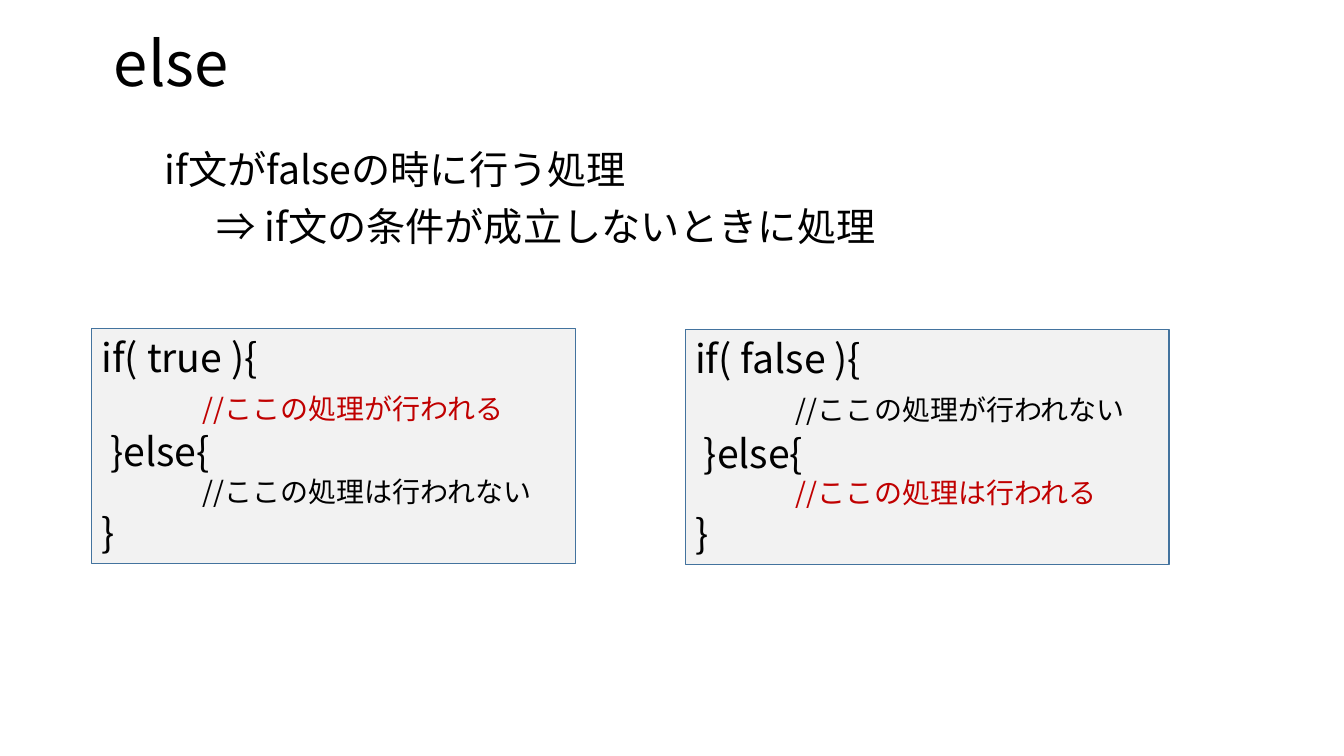
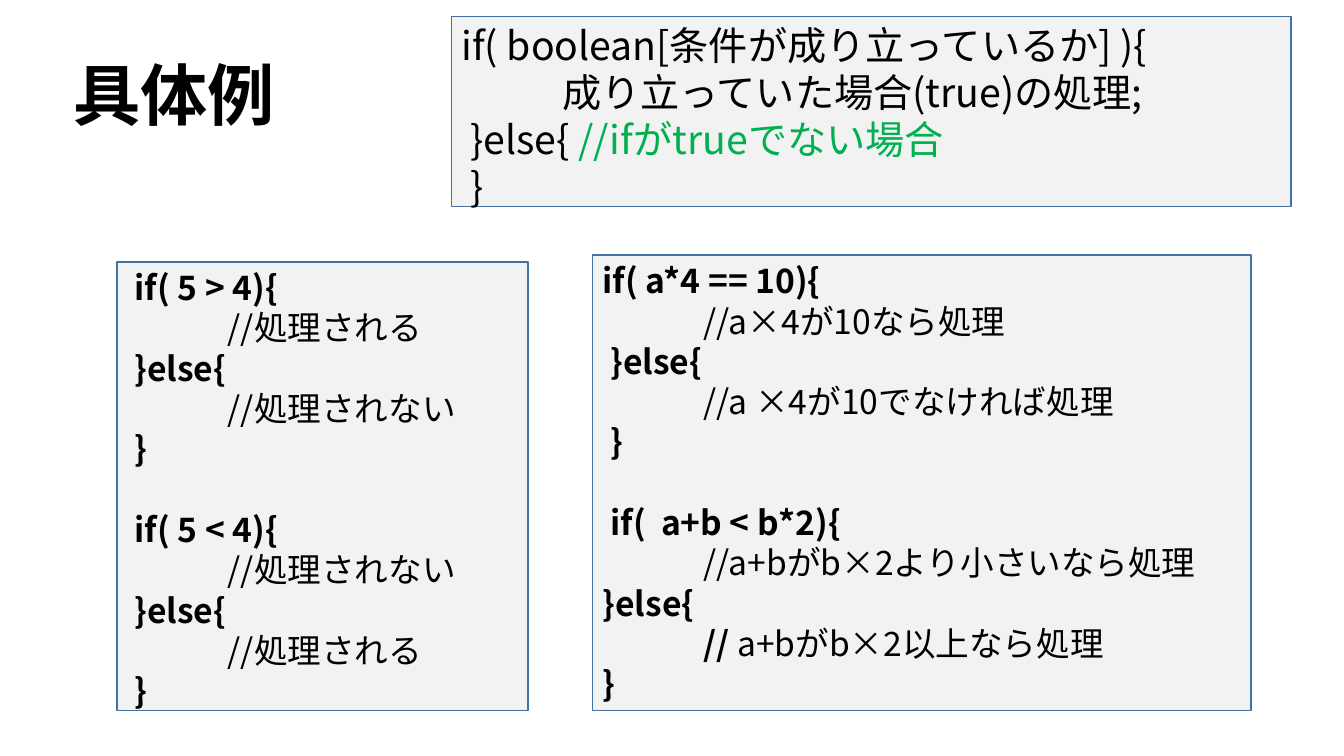
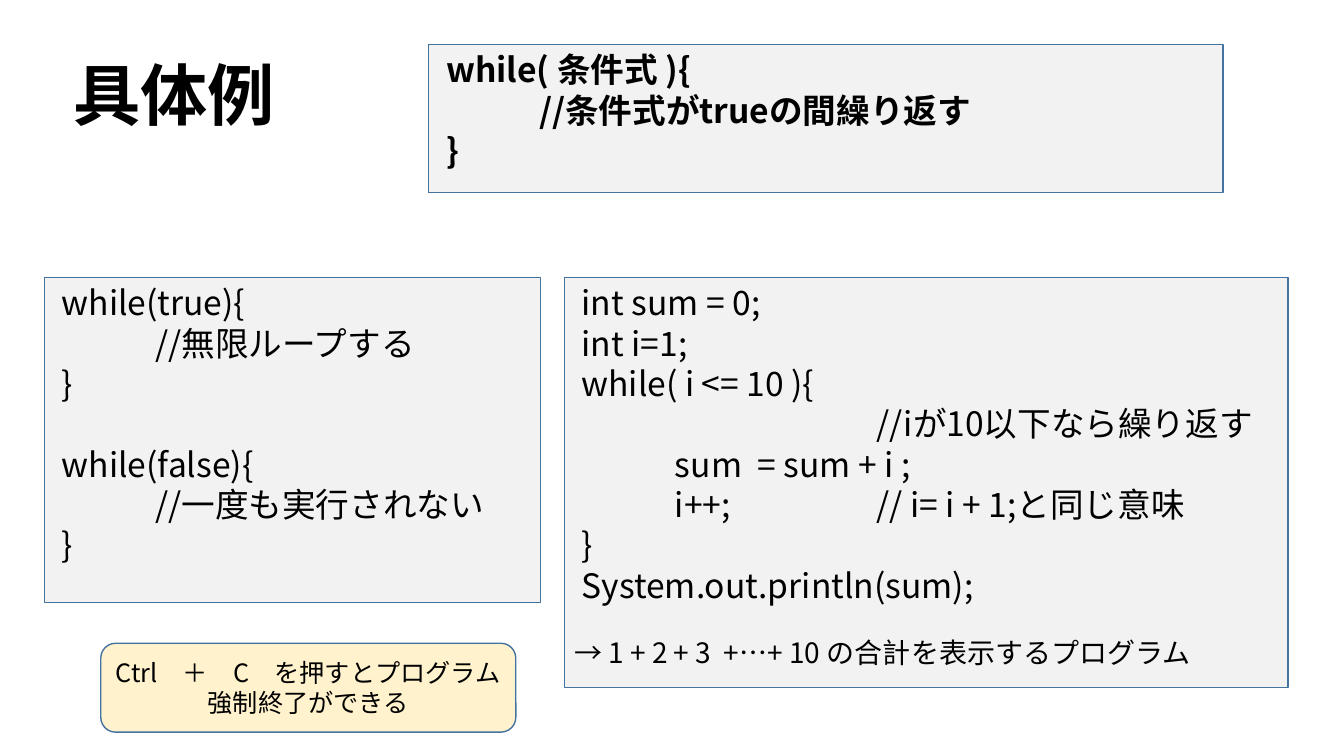
from lxml import etree
from pptx import Presentation
from pptx.dml.color import RGBColor
from pptx.enum.shapes import MSO_SHAPE
from pptx.enum.text import MSO_ANCHOR, MSO_AUTO_SIZE, PP_ALIGN
from pptx.oxml.ns import qn
from pptx.util import Cm, Pt

RECTANGLE, ROUNDED = MSO_SHAPE.RECTANGLE, MSO_SHAPE.ROUNDED_RECTANGLE
LEFT, CENTER = PP_ALIGN.LEFT, PP_ALIGN.CENTER
TOP, MIDDLE = MSO_ANCHOR.TOP, MSO_ANCHOR.MIDDLE

FONT = "Noto Sans CJK JP"
COLORS = {
    "text": "000000",
    "red": "C00000",
    "green": "00B050",
    "code": "F2F2F2",
    "hint": "FFF2CC",
    "border": "43739E",
}
TAB_CM = 2.54
TITLE_AND_BODY, TITLE_ONLY = 1, 5

# Run styles that differ from the rest of a box
SMALL = {"size": 20}
EXECUTED = {"size": 20, "color": "red"}
REMARK = {"bold": False}
GREEN = {"color": "green"}

# Points of space that stand for an empty line of code
CODE_GAP = 28.8
RESULT_GAP = 21.6


def if_else_lines(condition, first, second):
    """Each branch is a comment and its run style."""
    return [
        [f"if( {condition} ){{\n\t", first, "\n }else{"],
        [("\t", SMALL), second],
        "}",
    ]


# A paragraph is a string or a list of runs; a number is a gap before the next one
SLIDES = [
    {
        "title": {"text": "else", "at": (2.31, 0.41, 29.21, 2.54),
                  "size": 44, "bold": False, "inset": 0.62},
        "body": {
            "at": (2.67, 3.68, 29.21, 12.09),
            "lines": [("if文がfalseの時に行う処理", 1.23),
                      ("⇒ if文の条件が成立しないときに処理", TAB_CM)],
        },
        "boxes": [
            {"at": (2.31, 8.28, 12.19, 5.92), "size": 28,
             "lines": if_else_lines("true", ("//ここの処理が行われる", EXECUTED),
                                    ("//ここの処理は行われない", SMALL))},
            {"at": (17.27, 8.31, 12.19, 5.92), "size": 28,
             "lines": if_else_lines("false", ("//ここの処理が行われない", SMALL),
                                    ("//ここの処理は行われる", EXECUTED))},
        ],
    },
    {
        "title": {"text": "具体例"},
        "boxes": [
            {"at": (11.38, 0.41, 21.16, 4.8), "size": 28,
             "lines": [
                 ["if( boolean[条件が成り立っているか] ){\n"
                  "\t成り立っていた場合(true)の処理;\n }else{ ",
                  ("//ifがtrueでない場合", GREEN)],
                 " }",
             ]},
            {"at": (2.95, 6.6, 10.36, 11.3), "size": 24, "bold": True,
             "lines": [
                 [" if( 5 > 4){\n\t", ("//処理される", REMARK)],
                 " }else{",
                 ["\t", ("//処理されない", REMARK), "\n }"],
                 CODE_GAP,
                 " if( 5 < 4){",
                 ["\t", ("//処理されない", REMARK)],
                 " }else{",
                 ["\t", ("//処理される", REMARK), "\n }"],
             ]},
            {"at": (14.94, 6.43, 16.59, 11.48), "size": 24, "bold": True,
             "lines": [
                 "if( a*4 == 10){",
                 ["\t", ("//a×4が10なら処理", REMARK)],
                 [" }else{\n\t", ("//a ×4が10でなければ処理", REMARK)],
                 " }",
                 CODE_GAP,
                 " if(  a+b < b*2){",
                 ["\t", ("//a+bがb×2より小さいなら処理", REMARK)],
                 "}else{",
                 ["\t// ", ("a+bがb×2以上なら処理", REMARK)],
                 "}",
             ]},
        ],
    },
    {
        "title": {"text": "具体例"},
        "boxes": [
            {"at": (1.12, 6.99, 12.5, 8.2), "size": 24,
             "lines": [
                 " while(true){",
                 "\t//無限ループする\n }",
                 CODE_GAP,
                 " while(false){\n\t//一度も実行されない",
                 " }",
             ]},
            {"at": (14.22, 6.99, 18.24, 10.34), "size": 24,
             "lines": [
                 " int sum = 0;",
                 " int i=1;",
                 " while( i <= 10 ){",
                 "\t\t\t//iが10以下なら繰り返す",
                 "\tsum  = sum + i ;",
                 "\ti++;\t\t// i= i + 1;と同じ意味",
                 " }",
                 " System.out.println(sum);",
                 RESULT_GAP,
                 [("→ 1 + 2 + 3  +…+ 10 の合計を表示するプログラム", SMALL)],
             ]},
            {"at": (10.8, 1.12, 20.02, 3.73), "size": 24, "bold": True,
             "lines": [" while( 条件式 ){", "\t//条件式がtrueの間繰り返す", " }"]},
            {"at": (2.54, 16.21, 10.46, 2.24), "size": 18, "kind": ROUNDED,
             "fill": "hint", "align": CENTER, "anchor": MIDDLE,
             "lines": ["Ctrl　＋　C　を押すとプログラム", "強制終了ができる"]},
        ],
    },
]


def place(shape, at):
    shape.left, shape.top, shape.width, shape.height = map(Cm, at)


def rgb(name):
    return RGBColor.from_string(COLORS[name])


def style_run(run, size, bold=False, color="text"):
    font = run.font
    font.size, font.bold, font.name = Pt(size), bold, FONT
    font.color.rgb = rgb(color)
    latin = run._r.rPr.find(qn("a:latin"))
    east_asian = etree.Element(qn("a:ea"), typeface=FONT)
    latin.addnext(east_asian)


def add_runs(paragraph, text, **style):
    """Adds text, turning each newline into a line break of the same size."""
    for index, part in enumerate(text.split("\n")):
        if index:
            paragraph.add_line_break()
            line_break = paragraph._p.findall(qn("a:br"))[-1]
            etree.SubElement(line_break, qn("a:rPr"), sz=str(style["size"] * 100))
        if part:
            run = paragraph.add_run()
            run.text = part
            style_run(run, **style)


def add_tab_stops(paragraph):
    tab_list = etree.SubElement(paragraph._p.get_or_add_pPr(), qn("a:tabLst"))
    for count in range(1, 4):
        etree.SubElement(tab_list, qn("a:tab"), pos=str(Cm(TAB_CM * count)), algn="l")


def fill_title(title, text, at=(1.6, 0.66, 29.21, 3.68), size=48, bold=True, inset=0):
    place(title, at)
    frame = title.text_frame
    frame.text = text
    frame.auto_size, frame.vertical_anchor = MSO_AUTO_SIZE.NONE, MIDDLE
    frame.margin_left = Cm(0.25 + inset / 2 if inset else 0.25)
    paragraph = frame.paragraphs[0]
    paragraph.alignment, paragraph.line_spacing = LEFT, 0.9
    style_run(paragraph.runs[0], size, bold)


def fill_body(body, at, lines):
    place(body, at)
    frame = body.text_frame
    frame.text = "\n".join(text for text, _ in lines)
    frame.auto_size = MSO_AUTO_SIZE.NONE
    for index, (paragraph, (_, indent)) in enumerate(zip(frame.paragraphs, lines)):
        properties = paragraph._p.get_or_add_pPr()
        properties.set("marL", str(Cm(indent)))
        properties.set("indent", "0")
        etree.SubElement(properties, qn("a:buNone"))
        paragraph.line_spacing = 0.9
        paragraph.space_before = Pt(10 if index else 0)
        style_run(paragraph.runs[0], 28)


def add_box(slide, at, size, lines, bold=False, kind=RECTANGLE, fill="code",
            align=LEFT, anchor=TOP):
    shape = slide.shapes.add_shape(kind, *map(Cm, at))
    shape.shadow.inherit = False
    shape.fill.solid()
    shape.fill.fore_color.rgb = rgb(fill)
    shape.line.color.rgb = rgb("border")
    shape.line.width = Pt(1)
    frame = shape.text_frame
    frame.word_wrap, frame.vertical_anchor = True, anchor
    paragraph, gap = None, 0
    for line in lines:
        if isinstance(line, float):
            gap = line
            continue
        paragraph = frame.add_paragraph() if paragraph else frame.paragraphs[0]
        add_tab_stops(paragraph)
        paragraph.alignment, paragraph.space_before = align, Pt(gap)
        gap = 0
        for run in [line] if isinstance(line, str) else line:
            text, changes = (run, {}) if isinstance(run, str) else run
            add_runs(paragraph, text, **{"size": size, "bold": bold, **changes})


def main():
    presentation = Presentation()
    presentation.slide_width, presentation.slide_height = Cm(33.87), Cm(19.05)
    for content in SLIDES:
        layout = TITLE_AND_BODY if "body" in content else TITLE_ONLY
        slide = presentation.slides.add_slide(presentation.slide_layouts[layout])
        fill_title(slide.shapes.title, **content["title"])
        if "body" in content:
            fill_body(slide.placeholders[1], **content["body"])
        for box in content["boxes"]:
            add_box(slide, **box)
    presentation.save("out.pptx")


if __name__ == "__main__":
    main()
